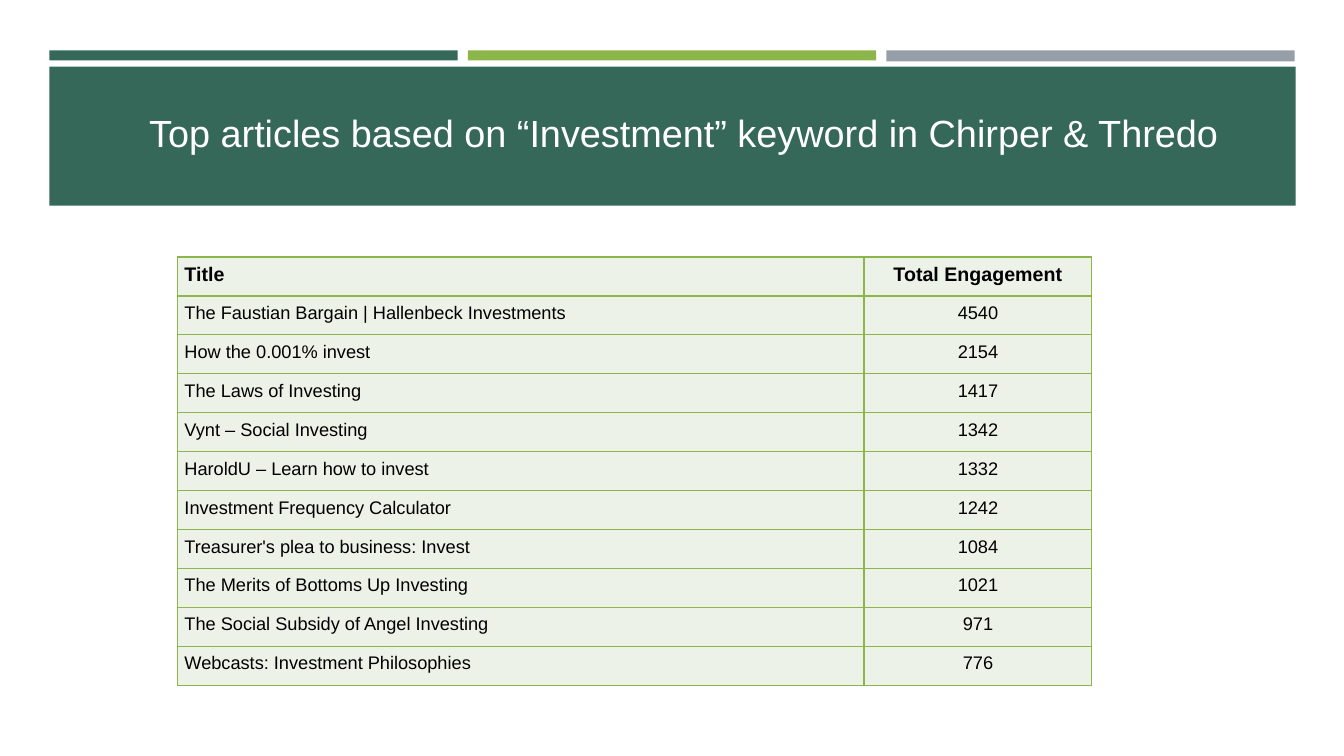
"""Build a slide ranking the articles found for the "Investment" keyword."""
from lxml import etree
from pptx import Presentation
from pptx.dml.color import RGBColor
from pptx.enum.shapes import MSO_SHAPE
from pptx.enum.text import MSO_ANCHOR, MSO_AUTO_SIZE, PP_ALIGN
from pptx.oxml.ns import qn
from pptx.util import Inches, Pt

RECTANGLE = MSO_SHAPE.RECTANGLE
TOP, BOTTOM = MSO_ANCHOR.TOP, MSO_ANCHOR.BOTTOM
NO_AUTOFIT = MSO_AUTO_SIZE.NONE
LEFT, CENTER = PP_ALIGN.LEFT, PP_ALIGN.CENTER
GREEN, LIME, GREY, PALE = "356859", "8CB64A", "969FA7", "EDF2E8"


def color(value):
    return RGBColor.from_string(value)


def add_text(paragraph, text, size, ink, bold=False):
    run = paragraph.add_run()
    run.text = text
    run.font.name = "Arial"
    run.font.size = Pt(size)
    run.font.bold = bold
    run.font.color.rgb = color(ink)


presentation = Presentation()
presentation.slide_width = Inches(13.33)
presentation.slide_height = Inches(7.5)
slide = presentation.slides.add_slide(presentation.slide_layouts[5])

bands = [
    (0.49, 0.5, 4.05, 0.1, GREEN),
    (4.64, 0.5, 4.05, 0.1, LIME),
    (8.79, 0.5, 4.05, 0.11, GREY),
    (0.49, 0.66, 12.36, 1.38, GREEN),
]
for left, top, width, height, fill in bands:
    band = slide.shapes.add_shape(
        RECTANGLE, Inches(left), Inches(top), Inches(width), Inches(height))
    band.shadow.inherit = False
    band.fill.solid()
    band.fill.fore_color.rgb = color(fill)
    band.line.fill.background()

title = slide.shapes.title
title.element.getparent().append(title.element)
title.left, title.top = Inches(0.41), Inches(0.95)
title.width, title.height = Inches(12.06), Inches(1.08)
heading = title.text_frame
heading.word_wrap = True
heading.auto_size = NO_AUTOFIT
heading.vertical_anchor = BOTTOM
heading.margin_left, heading.margin_right = Inches(1.07), Inches(0.1)
heading.margin_top, heading.margin_bottom = Inches(0.05), Inches(0.49)
heading.paragraphs[0].alignment = LEFT
add_text(heading.paragraphs[0],
         "Top articles based on “Investment” keyword in Chirper & Thredo",
         27, "FFFFFF")

articles = [
    ("Title", "Total Engagement"),
    ("The Faustian Bargain | Hallenbeck Investments", "4540"),
    ("How the 0.001% invest", "2154"),
    ("The Laws of Investing", "1417"),
    ("Vynt – Social Investing", "1342"),
    ("HaroldU – Learn how to invest", "1332"),
    ("Investment Frequency Calculator", "1242"),
    ("Treasurer's plea to business: Invest", "1084"),
    ("The Merits of Bottoms Up Investing", "1021"),
    ("The Social Subsidy of Angel Investing", "971"),
    ("Webcasts: Investment Philosophies", "776"),
]
ranking = slide.shapes.add_table(
    len(articles), 2, Inches(1.76), Inches(2.55), Inches(9.07), Inches(4.25)).table
ranking.first_row = False
ranking.horz_banding = False
ranking.columns[0].width = Inches(6.81)
ranking.columns[1].width = Inches(2.26)

for row, article in enumerate(articles):
    is_header = row == 0
    for column, text in enumerate(article):
        cell = ranking.cell(row, column)
        cell.margin_left = cell.margin_right = Inches(0.07)
        cell.margin_top = cell.margin_bottom = Inches(0.07)
        cell.vertical_anchor = TOP
        properties = cell._tc.get_or_add_tcPr()
        for side in ("a:lnL", "a:lnR", "a:lnT", "a:lnB"):
            border = etree.SubElement(properties, qn(side), w=str(Pt(1)))
            border_fill = etree.SubElement(border, qn("a:solidFill"))
            etree.SubElement(border_fill, qn("a:srgbClr"), val=LIME)
        cell.fill.solid()
        cell.fill.fore_color.rgb = color(PALE)
        paragraph = cell.text_frame.paragraphs[0]
        paragraph.alignment = CENTER if column else LEFT
        add_text(paragraph, text, 14 if is_header else 13, "000000", is_header)

presentation.save("out.pptx")
